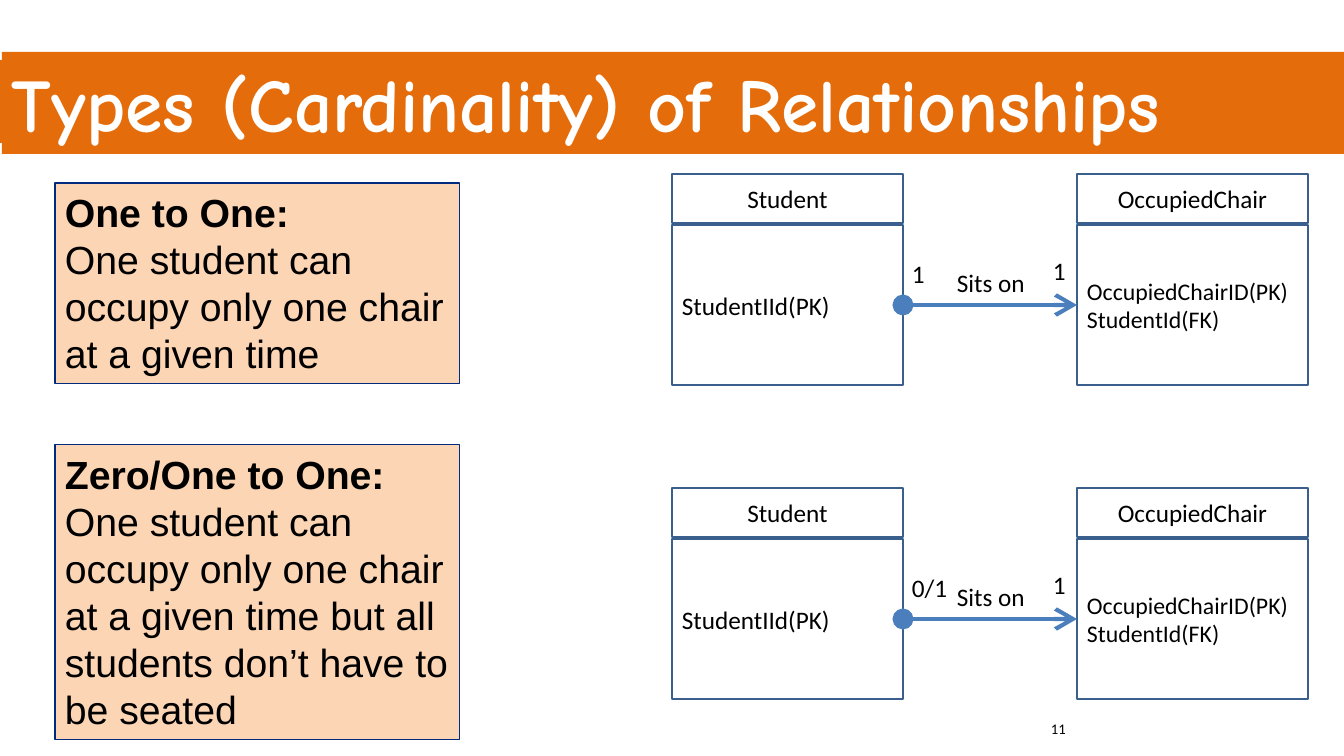
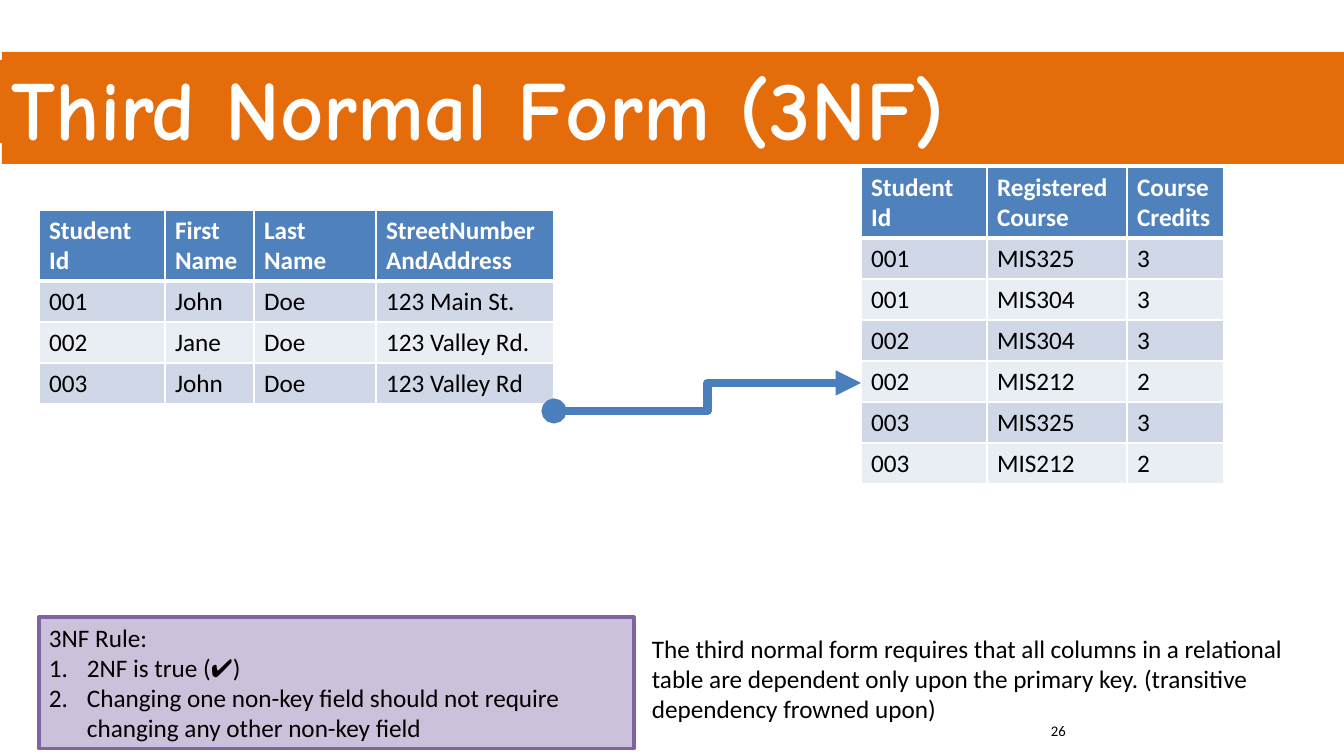
from lxml import etree
from pptx import Presentation
from pptx.dml.color import RGBColor
from pptx.enum.shapes import MSO_CONNECTOR, MSO_SHAPE
from pptx.enum.text import MSO_ANCHOR, PP_ALIGN
from pptx.oxml.ns import qn
from pptx.util import Pt

RECTANGLE = MSO_SHAPE.RECTANGLE
STRAIGHT, ELBOW = MSO_CONNECTOR.STRAIGHT, MSO_CONNECTOR.ELBOW
TOP, MIDDLE = MSO_ANCHOR.TOP, MSO_ANCHOR.MIDDLE
LEFT, CENTER = PP_ALIGN.LEFT, PP_ALIGN.CENTER

EMU_PER_PX = 12192000 / 1344
PAGE_WIDTH, PAGE_HEIGHT = 1344, 756

BLACK = RGBColor(0x00, 0x00, 0x00)
WHITE = RGBColor(0xFF, 0xFF, 0xFF)
ORANGE = RGBColor(0xE4, 0x6C, 0x0A)
PEACH = RGBColor(0xFC, 0xD5, 0xB5)
NAVY = RGBColor(0x00, 0x2A, 0x7E)
ENTITY_BLUE = RGBColor(0x3A, 0x5F, 0x8C)
ARROW_BLUE = RGBColor(0x4B, 0x7E, 0xBC)
HEADER_BLUE = RGBColor(0x4F, 0x81, 0xBD)
ROW_FILLS = (RGBColor(0xD0, 0xD8, 0xE8), RGBColor(0xE9, 0xED, 0xF4))
LILAC = RGBColor(0xCC, 0xC1, 0xDA)
PURPLE = RGBColor(0x80, 0x64, 0xA2)

BODY_FONT, TITLE_FONT, NOTE_FONT = "Calibri", "Comic Neue", "Arial"
HEADER_HEIGHT, ROW_HEIGHT = 71, 41
ENTITY_WIDTH, ENTITY_STEP = 231, 405

STUDENT_ROWS = (
    ("Student Id", "First Name", "Last Name", "StreetNumber\vAndAddress"),
    ("001", "John", "Doe", "123 Main St."),
    ("002", "Jane", "Doe", "123 Valley Rd."),
    ("003", "John", "Doe", "123 Valley Rd"),
)
COURSE_ROWS = (
    ("Student Id", "Registered\vCourse", "Course\vCredits"),
    ("001", "MIS325", "3"),
    ("001", "MIS304", "3"),
    ("002", "MIS304", "3"),
    ("002", "MIS212", "2"),
    ("003", "MIS325", "3"),
    ("003", "MIS212", "2"),
)


def px(*lengths):
    """Turn pixel lengths into a list of EMU."""
    return [round(length * EMU_PER_PX) for length in lengths]


def write(para, text, size=18, font=BODY_FONT, color=BLACK, bold=False, align=LEFT):
    """Add formatted text to a paragraph, with a line break at each vertical tab."""
    para.alignment = align
    for index, line in enumerate(text.split("\v")):
        if index:
            para.add_line_break()
        if line:
            span = para.add_run()
            span.text = line
            span.font.size = Pt(size)
            span.font.name = font
            span.font.bold = bold
            span.font.color.rgb = color


def fill_frame(frame, lines, anchor=TOP, **style):
    """Write one paragraph for each line of text."""
    frame.word_wrap = True
    frame.vertical_anchor = anchor
    for index, line in enumerate(lines):
        para = frame.add_paragraph() if index else frame.paragraphs[0]
        write(para, line, **style)


def add_label(shapes, box, text, **style):
    """Add a plain text box."""
    label = shapes.add_textbox(*px(*box))
    fill_frame(label.text_frame, [text], **style)


def add_box(shapes, box, fill=None, line=None, weight=1):
    """Add a rectangle with an optional fill and outline."""
    shape = shapes.add_shape(RECTANGLE, *px(*box))
    shape.shadow.inherit = False
    for paint, color in ((shape.fill, fill), (shape.line.fill, line)):
        if color is None:
            paint.background()
        else:
            paint.solid()
            paint.fore_color.rgb = color
    if line is not None:
        shape.line.width = Pt(weight)
    return shape


def add_arrow(shapes, kind, ends, weight, tail, size):
    """Add a connector that starts with a dot and ends with an arrowhead."""
    arrow = shapes.add_connector(kind, *px(*ends))
    arrow.line.color.rgb = ARROW_BLUE
    arrow.line.width = Pt(weight)
    properties = arrow.element.spPr
    outline = properties.find(qn("a:ln"))
    etree.SubElement(outline, qn("a:round"))
    for tag, head in (("a:headEnd", "oval"), ("a:tailEnd", tail)):
        etree.SubElement(outline, qn(tag), type=head, w=size, len=size)
    etree.SubElement(properties, qn("a:effectLst"))
    return arrow


def add_page(deck, title, size, band_height, number, number_top):
    """Add a blank page with the title band and page number."""
    page = deck.slides.add_slide(deck.slide_layouts[6])
    add_box(page.shapes, (0, 60, PAGE_WIDTH, 83), ORANGE)
    band = add_box(page.shapes, (2, 52, 1347, band_height), ORANGE)
    fill_frame(band.text_frame, [title], size=size, font=TITLE_FONT,
               color=WHITE, bold=True)
    add_label(page.shapes, (1041, number_top, 302, 40), number, size=10.5)
    return page


def add_note(page, box, heading, text):
    """Add a peach note with a bold heading."""
    note = add_box(page.shapes, box, PEACH, NAVY, 0.75)
    fill_frame(note.text_frame, [heading + "\v"], size=28, font=NOTE_FONT, bold=True)
    write(note.text_frame.paragraphs[0], text, size=28, font=NOTE_FONT)


def add_entity(shapes, left, top, name, fields, size):
    """Add an entity with its name above its fields and return the fields box."""
    body = add_box(shapes, (left, top + 51, ENTITY_WIDTH, 160), None, ENTITY_BLUE, 2)
    fill_frame(body.text_frame, fields, MIDDLE, size=size)
    header = add_box(shapes, (left, top, ENTITY_WIDTH, 49), None, ENTITY_BLUE, 2)
    fill_frame(header.text_frame, [name], MIDDLE, align=CENTER)
    return body


def add_relationship(page, left, top, cardinality):
    """Add the student and chair entities joined by a labelled arrow."""
    shapes = page.shapes.add_group_shape().shapes
    student = add_entity(shapes, left, top, "Student", ["StudentIId(PK)"], 18)
    chair = add_entity(shapes, left + ENTITY_STEP, top, "OccupiedChair",
                       ["OccupiedChairID(PK)", "StudentId(FK)"], 17)
    middle = top + 131
    ends = (left + ENTITY_WIDTH, middle, left + ENTITY_STEP, middle)
    arrow = add_arrow(shapes, STRAIGHT, ends, 3, "arrow", "lg")
    arrow.begin_connect(student, 3)
    arrow.end_connect(chair, 1)
    for text, across, down, width in (
        (cardinality, 230, 79, 62), ("Sits on", 275, 88, 95), ("1", 371, 76, 33),
    ):
        add_label(shapes, (left + across, top + down, width, 40), text)


def add_borders(cell, bottom):
    """Give a cell white borders with the chosen bottom weight."""
    properties = cell._tc.get_or_add_tcPr()
    for side, weight in (("L", 1), ("R", 1), ("T", 1), ("B", bottom)):
        border = etree.SubElement(properties, qn("a:ln" + side), w=str(Pt(weight)))
        paint = etree.SubElement(border, qn("a:solidFill"))
        etree.SubElement(paint, qn("a:srgbClr"), val=str(WHITE))


def add_data_table(page, left, top, widths, rows):
    """Add a table with a blue header and banded rows."""
    height = HEADER_HEIGHT + ROW_HEIGHT * (len(rows) - 1)
    box = px(left, top, sum(widths), height)
    table = page.shapes.add_table(len(rows), len(widths), *box).table
    for column, width in zip(table.columns, px(*widths)):
        column.width = width
    for index, texts in enumerate(rows):
        is_header = index == 0
        table.rows[index].height = px(HEADER_HEIGHT if is_header else ROW_HEIGHT)[0]
        for cell, text in zip(table.rows[index].cells, texts):
            add_borders(cell, 3 if is_header else 1)
            cell.fill.solid()
            cell.fill.fore_color.rgb = HEADER_BLUE if is_header else ROW_FILLS[(index - 1) % 2]
            write(cell.text_frame.paragraphs[0], text, bold=is_header,
                  color=WHITE if is_header else BLACK)


def add_rule(page, box, heading, rules):
    """Add a lilac box with a heading and numbered rules."""
    shape = add_box(page.shapes, box, LILAC, PURPLE, 2.25)
    fill_frame(shape.text_frame, [heading, *rules])
    indent = px(38)[0]
    for para in shape.text_frame.paragraphs[1:]:
        properties = para._p.get_or_add_pPr()
        properties.set("marL", str(indent))
        properties.set("indent", str(-indent))
        etree.SubElement(properties, qn("a:buFont"), typeface="+mj-lt")
        etree.SubElement(properties, qn("a:buAutoNum"), type="arabicPeriod")


def build_cardinality(deck):
    """Build the page on relationship types."""
    page = add_page(deck, "Types (Cardinality) of Relationships", 54, 102, "11", 715)
    add_note(page, (55, 183, 405, 201), "One to One: ",
             "One student can occupy only one chair at a given time")
    add_note(page, (55, 445, 405, 295), "Zero/One to One: ",
             "One student can occupy only one chair at a given time "
             "but all students don’t have to be seated")
    add_relationship(page, 672, 174, "1")
    add_relationship(page, 672, 488, "0/1")


def build_third_form(deck):
    """Build the page on the third normal form."""
    page = add_page(deck, "Third Normal Form (3NF)", 60, 112, "26", 717)
    add_data_table(page, 861, 167, (126, 140, 97), COURSE_ROWS)
    add_rule(page, (39, 617, 595, 132), "3NF Rule:", (
        "2NF is true (✔️)",
        "Changing one non-key field should not require changing any other non-key field",
    ))
    add_data_table(page, 39, 210, (126, 89, 122, 178), STUDENT_ROWS)
    add_arrow(page.shapes, ELBOW, (554, 411, 861, 383), 6, "triangle", "med")
    add_label(page.shapes, (642, 628, 694, 102),
              "The third normal form requires that all columns in a relational table "
              "are dependent only upon the primary key. (transitive dependency frowned upon)")


def main():
    """Build and save the deck."""
    deck = Presentation()
    deck.slide_width, deck.slide_height = px(PAGE_WIDTH, PAGE_HEIGHT)
    build_cardinality(deck)
    build_third_form(deck)
    deck.save("out.pptx")


if __name__ == "__main__":
    main()
